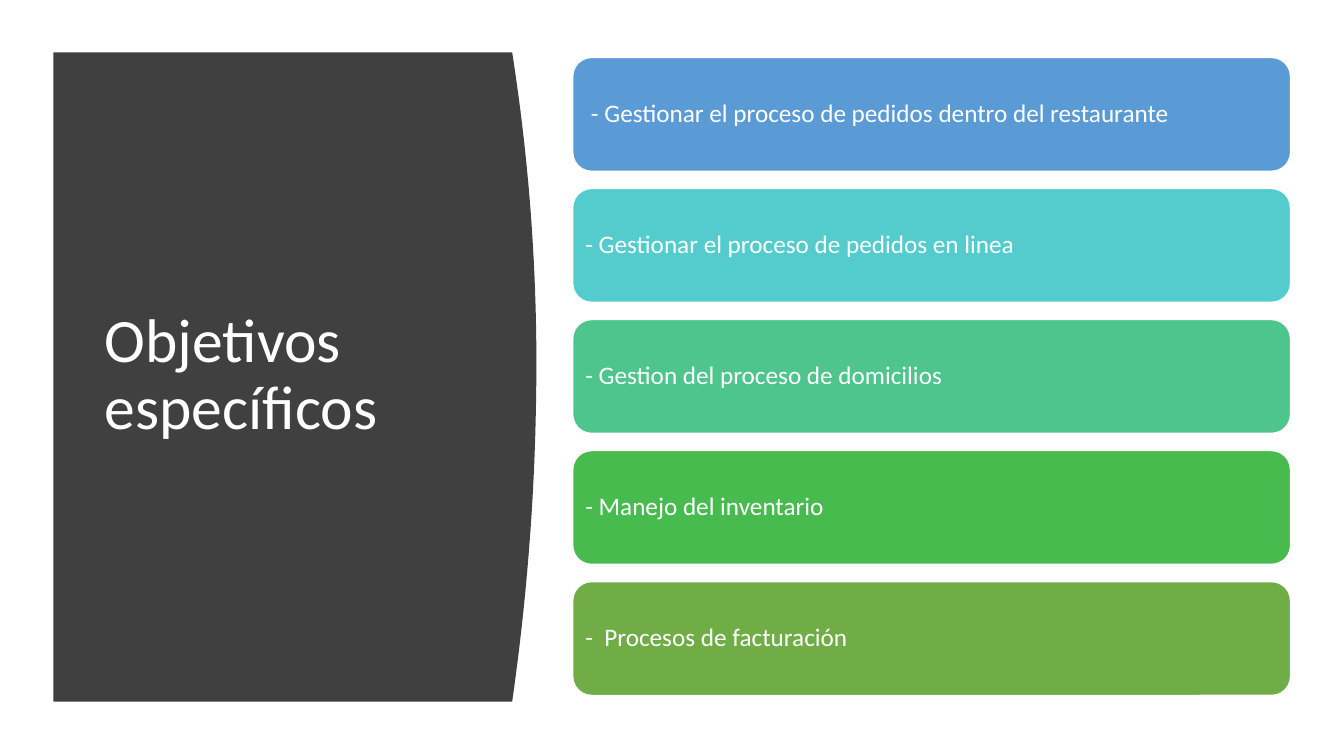
from pptx import Presentation
from pptx.dml.color import RGBColor
from pptx.enum.shapes import MSO_SHAPE
from pptx.enum.text import MSO_ANCHOR, PP_ALIGN
from pptx.util import Inches, Pt

COLORS = {
    "panel": "404040", "white": "FFFFFF", "blue": "5B9BD5", "aqua": "54CCCD",
    "mint": "4DC58D", "green": "48BB4F", "olive": "70AD47",
}
GOALS = [
    ("blue", " - Gestionar el proceso de pedidos dentro del restaurante"),
    ("aqua", "- Gestionar el proceso de pedidos en linea"),
    ("mint", "- Gestion del proceso de domicilios"),
    ("green", "- Manejo del inventario"),
    ("olive", "-  Procesos de facturación"),
]


def color(name):
    return RGBColor.from_string(COLORS[name])


def write(shape, text, size, inset):
    frame = shape.text_frame
    format = {
        "word_wrap": True, "vertical_anchor": MSO_ANCHOR.MIDDLE,
        "margin_left": Inches(inset), "margin_right": Inches(inset),
    }
    for key, value in format.items():
        setattr(frame, key, value)
    line = frame.paragraphs[0]
    line.text = text
    line.alignment = PP_ALIGN.LEFT
    line.line_spacing = 0.9
    for key, value in {"name": "Calibri", "size": Pt(size)}.items():
        setattr(line.font, key, value)
    line.font.color.rgb = color("white")


deck = Presentation()
deck.slide_width, deck.slide_height = Inches(13.33), Inches(7.5)
slide = deck.slides.add_slide(deck.slide_layouts[6])
shapes = slide.shapes

# Dark panel, its right edge bulging along a parabola
left, top, base = 0.53, 0.52, 6.96
peak, reach, bulge = 3.6, 5.32, 0.24
steps = 44
edge = []
for step in range(steps + 1):
    y = top + (base - top) * step / steps
    half = peak - top if y < peak else base - peak
    edge.append((reach - bulge * ((y - peak) / half) ** 2, y))
pen = shapes.build_freeform(Inches(left), Inches(top))
pen.add_line_segments([(Inches(x), Inches(y)) for x, y in edge + [(left, base)]])
panel = pen.convert_to_shape()
panel.shadow.inherit = False
panel.fill.solid()
panel.fill.fore_color.rgb = color("panel")
panel.line.fill.background()

# Title
title = shapes.add_textbox(Inches(0.94), Inches(1.11), Inches(3.74), Inches(5.24))
write(title, "Objetivos específicos", 44, 0.1)

# One bar per goal
for row, (tint, text) in enumerate(GOALS):
    bar = shapes.add_shape(
        MSO_SHAPE.ROUNDED_RECTANGLE,
        Inches(5.68), Inches(0.57 + 1.3 * row), Inches(7.12), Inches(1.13))
    bar.shadow.inherit = False
    bar.fill.solid()
    bar.fill.fore_color.rgb = color(tint)
    bar.line.color.rgb = color("white")
    bar.line.width = Pt(1)
    # The rounded corners add their own inset to the text
    write(bar, text, 18, 0.07)

deck.save("out.pptx")
